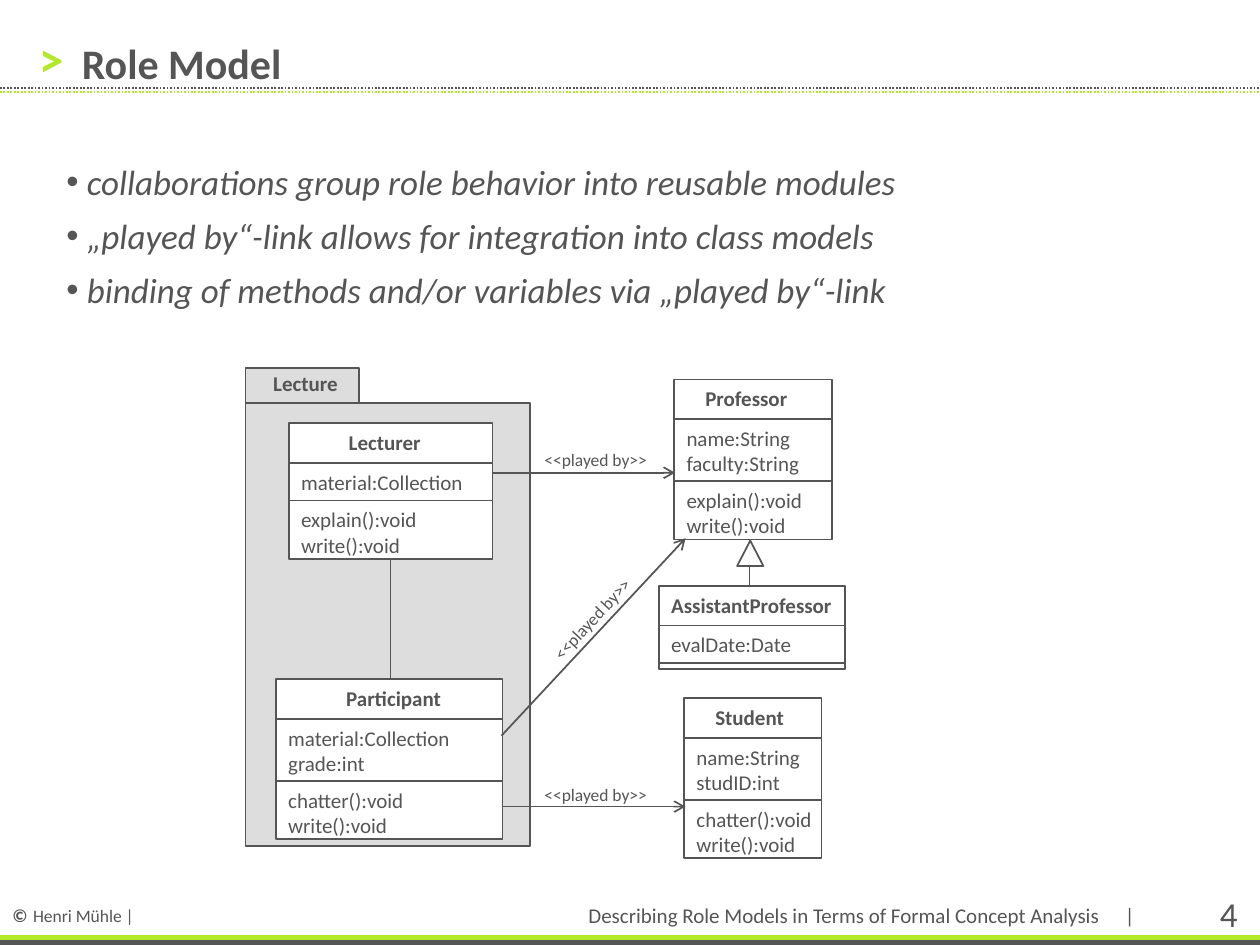
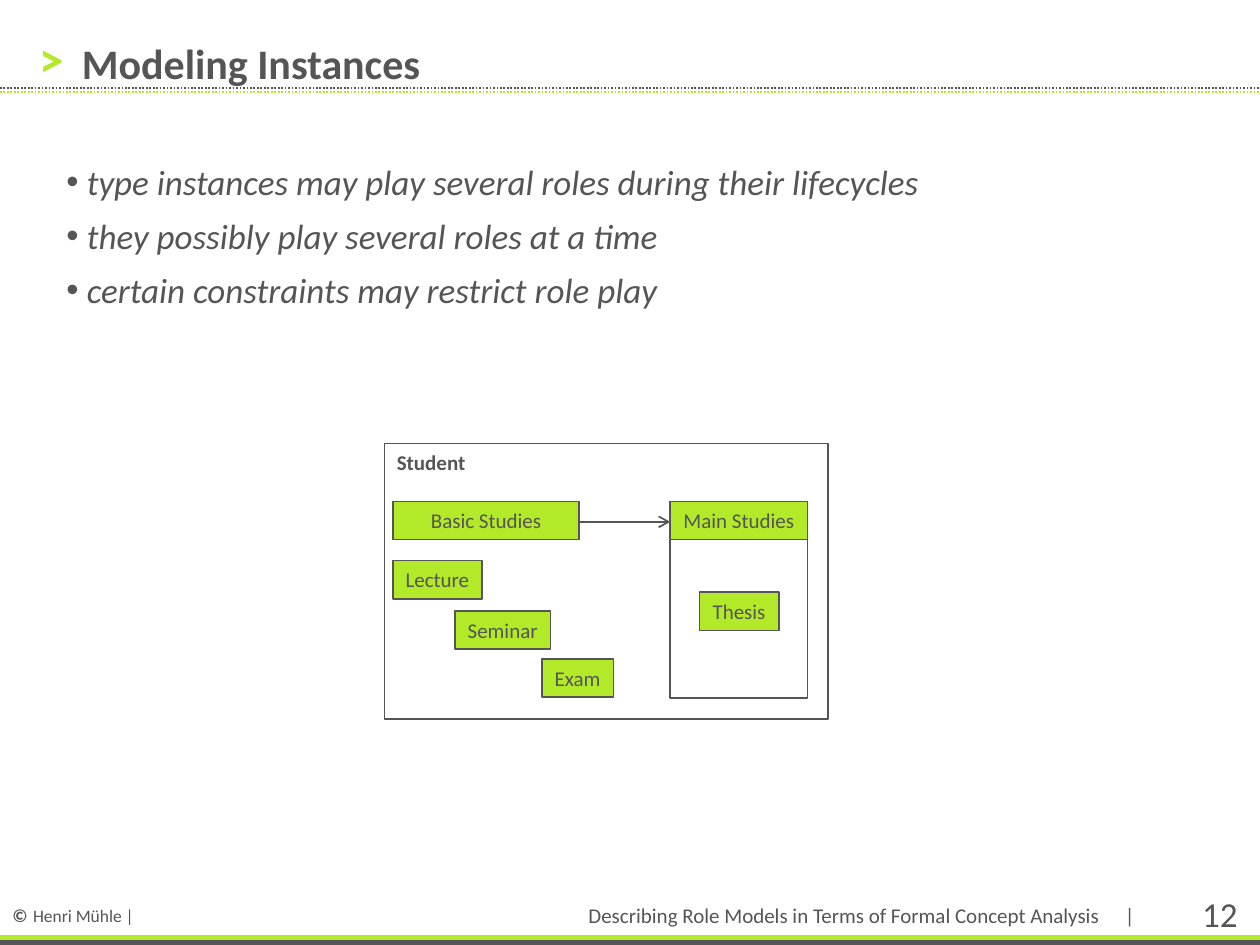
from lxml.etree import SubElement
from pptx import Presentation
from pptx.dml.color import RGBColor
from pptx.enum.dml import MSO_LINE_DASH_STYLE as Dash
from pptx.enum.shapes import MSO_CONNECTOR as Link, MSO_SHAPE as Form
from pptx.enum.text import MSO_ANCHOR as Anchor, MSO_AUTO_SIZE as Fit, PP_ALIGN as Align
from pptx.oxml.ns import qn
from pptx.util import Cm, Pt

GREY = "555555"
GREEN = "B2E928"
PALE = "DDDDDD"
WHITE = "FFFFFF"
FONT = "Calibri"
NAME_ROW = 0.8
PLAYED_BY = "<<played by>>"


def color(value):
    return RGBColor.from_string(value)


def lengths(values):
    return [Cm(value) for value in values]


def write(frame, lines, size=12, bold=False, italic=False, ink=GREY,
          align=Align.LEFT, anchor=Anchor.TOP, margins=(0.25, 0.13, 0.25, 0.13),
          wrap=True):
    frame.auto_size = Fit.NONE
    frame.word_wrap = wrap
    frame.vertical_anchor = anchor
    (frame.margin_left, frame.margin_top,
     frame.margin_right, frame.margin_bottom) = lengths(margins)
    for index, line in enumerate(lines):
        paragraph = frame.add_paragraph() if index else frame.paragraphs[0]
        paragraph.alignment = align
        pieces = [(line, size, bold)] if isinstance(line, str) else line
        for words, piece_size, piece_bold in pieces:
            run = paragraph.add_run()
            run.text = words
            run.font.name = FONT
            run.font.size = Pt(piece_size)
            run.font.bold = piece_bold
            run.font.italic = italic
            run.font.color.rgb = color(ink)


def label(canvas, lines, area, turn=0, **look):
    text_area = canvas.add_textbox(*lengths(area))
    text_area.rotation = turn
    write(text_area.text_frame, lines, **look)


def block(canvas, area, fill=None, outline=GREY, form=Form.RECTANGLE, lines=(), **look):
    body = canvas.add_shape(form, *lengths(area))
    body.shadow.inherit = False
    if fill:
        body.fill.solid()
        body.fill.fore_color.rgb = color(fill)
    else:
        body.fill.background()
    if outline:
        body.line.color.rgb = color(outline)
        body.line.width = Pt(1)
    else:
        body.line.fill.background()
    if lines:
        write(body.text_frame, lines, **look)


def connect(canvas, start, end, ink=GREY, dash=None, arrow=False):
    link = canvas.add_connector(Link.STRAIGHT, *lengths(start + end))
    link.line.color.rgb = color(ink)
    link.line.width = Pt(1)
    if dash:
        link.line.dash_style = dash
    properties = link.element.spPr
    if arrow:
        SubElement(properties.find(qn("a:ln")), qn("a:tailEnd"), type="arrow")
    SubElement(properties, qn("a:effectLst"))


def place(holder, area):
    holder.left, holder.top, holder.width, holder.height = lengths(area)


def bullet_list(holder, points):
    place(holder, (0.79, 3.1, 23.83, 14.3))
    write(holder.text_frame, points, size=20, italic=True)
    for paragraph in holder.text_frame.paragraphs:
        paragraph.space_before = Pt(3)
        paragraph.space_after = Pt(4)
        properties = paragraph._p.get_or_add_pPr()
        properties.set("marL", str(Cm(0.71)))
        properties.set("indent", str(Cm(-0.41)))
        tint = SubElement(properties, qn("a:buClr"))
        SubElement(tint, qn("a:srgbClr"), val=GREY)
        SubElement(properties, qn("a:buFont"), typeface="Arial")
        SubElement(properties, qn("a:buChar"), char="•")


def start_slide(deck, title, points, number):
    slide = deck.slides.add_slide(deck.slide_layouts[1])
    canvas = slide.shapes
    label(canvas, [[("©", 10.5, True), (" ", 14, False), ("Henri Mühle |", 10, False)]],
          (0, 17.98, 5.56, 0.86))
    for top, fill in ((18.95, GREY), (18.85, GREEN)):
        block(canvas, (0, top, 25.4, 0.1), fill, outline=None)
    for height, ink in ((1.78, GREY), (1.86, GREEN)):
        connect(canvas, (0, height), (25.4, height), ink, Dash.ROUND_DOT)
    label(canvas, ["|"], (22.43, 18.06, 0.58, 0.79), align=Align.RIGHT)
    label(canvas, [number], (23.22, 17.86, 1.98, 1.12), size=20, align=Align.RIGHT)
    label(canvas, [">"], (0.79, 0.58, 0.58, 1.19), size=28, bold=True, ink=GREEN,
          anchor=Anchor.MIDDLE, margins=(0, 0, 0, 0))
    label(canvas, ["Describing Role Models in Terms of Formal Concept Analysis"],
          (7.54, 18.06, 14.88, 0.76), align=Align.RIGHT, anchor=Anchor.MIDDLE)
    place(canvas.title, (1.4, 0.56, 14.3, 1.42))
    write(canvas.title.text_frame, [title], size=24, bold=True, anchor=Anchor.MIDDLE)
    bullet_list(slide.placeholders[1], points)
    return canvas


def uml_class(canvas, name, corner, width, name_left, attributes, methods, fill=None):
    left, top = corner
    attribute_top = top + NAME_ROW
    method_top = attribute_top + 0.27 + 0.49 * len(attributes)
    method_row = 0.12 + 0.53 * len(methods)
    tight = (0.25, 0.13, 0, 0.13)
    block(canvas, (left, top, width, method_top + method_row - top), fill)
    label(canvas, [name], (name_left, top, left + width - name_left, 0.76),
          bold=True, margins=tight)
    for row_top, members in ((attribute_top, attributes), (method_top, methods)):
        connect(canvas, (left, row_top), (left + width, row_top))
        if members:
            label(canvas, members, (left, row_top, width, 0.25 + 0.51 * len(members)),
                  margins=tight)


def role_model(deck):
    slide_canvas = start_slide(deck, "Role Model", [
        "collaborations group role behavior into reusable modules",
        "„played by“-link allows for integration into class models",
        "binding of methods and/or variables via „played by“-link"], "4")
    canvas = slide_canvas.add_group_shape().shapes
    block(canvas, (4.95, 8.13, 5.74, 8.92), PALE)
    block(canvas, (4.95, 7.42, 2.29, 0.71), PALE)
    label(canvas, ["Lecture"], (4.95, 7.34, 2.11, 0.94), bold=True, align=Align.RIGHT)

    lecturing = ["explain():void", "write():void"]
    attending = ["chatter():void", "write():void"]
    uml_class(canvas, "AssistantProfessor", (13.28, 11.81), 3.76, 13.28,
              ["evalDate:Date"], [])
    uml_class(canvas, "Professor", (13.59, 7.65), 3.18, 13.97,
              ["name:String", "faculty:String"], lecturing)
    uml_class(canvas, "Student", (13.79, 14.07), 2.77, 14.17,
              ["name:String", "studID:int"], attending)
    uml_class(canvas, "Participant", (5.56, 13.69), 4.57, 6.73,
              ["material:Collection", "grade:int"], attending, WHITE)
    uml_class(canvas, "Lecturer", (5.82, 8.53), 4.11, 6.78,
              ["material:Collection"], lecturing, WHITE)

    connect(canvas, (7.87, 11.25), (7.87, 13.69))
    block(canvas, (14.86, 10.9, 0.53, 0.51), form=Form.ISOSCELES_TRIANGLE)
    connect(canvas, (15.11, 11.81), (15.11, 11.4))
    for start, end, corner, turn in (
            ((9.91, 9.53), (13.61, 9.53), (10.57, 8.92), 0),
            ((10.11, 16.26), (13.82, 16.26), (10.57, 15.67), 0),
            ((10.11, 14.83), (13.82, 10.85), (10.52, 12.19), 313)):
        connect(canvas, start, end, arrow=True)
        label(canvas, [PLAYED_BY], corner + (2.72, 0.69), turn, size=10,
              align=Align.RIGHT, margins=(0, 0.13, 0.25, 0.13))


def modeling_instances(deck):
    slide_canvas = start_slide(deck, "Modeling Instances", [
        "type instances may play several roles during their lifecycles",
        "they possibly play several roles at a time",
        "certain constraints may restrict role play"], "12")
    canvas = slide_canvas.add_group_shape().shapes
    block(canvas, (7.75, 8.94, 8.94, 5.56), lines=["Student"], bold=True)
    block(canvas, (13.51, 10.11, 2.77, 3.96))
    for role, left, top, width in (
            ("Basic Studies", 7.92, 10.11, 3.76),
            ("Main Studies", 13.51, 10.11, 2.77),
            ("Lecture", 7.92, 11.3, 1.8),
            ("Seminar", 9.17, 12.32, 1.93),
            ("Exam", 10.92, 13.28, 1.45),
            ("Thesis", 14.1, 11.94, 1.6)):
        block(canvas, (left, top, width, 0.77), GREEN, lines=[role],
              align=Align.CENTER, wrap=False)
    connect(canvas, (11.68, 10.52), (13.51, 10.52), arrow=True)


def main():
    deck = Presentation()
    deck.slide_width, deck.slide_height = Cm(25.4), Cm(19.05)
    role_model(deck)
    modeling_instances(deck)
    deck.save("out.pptx")


main()
